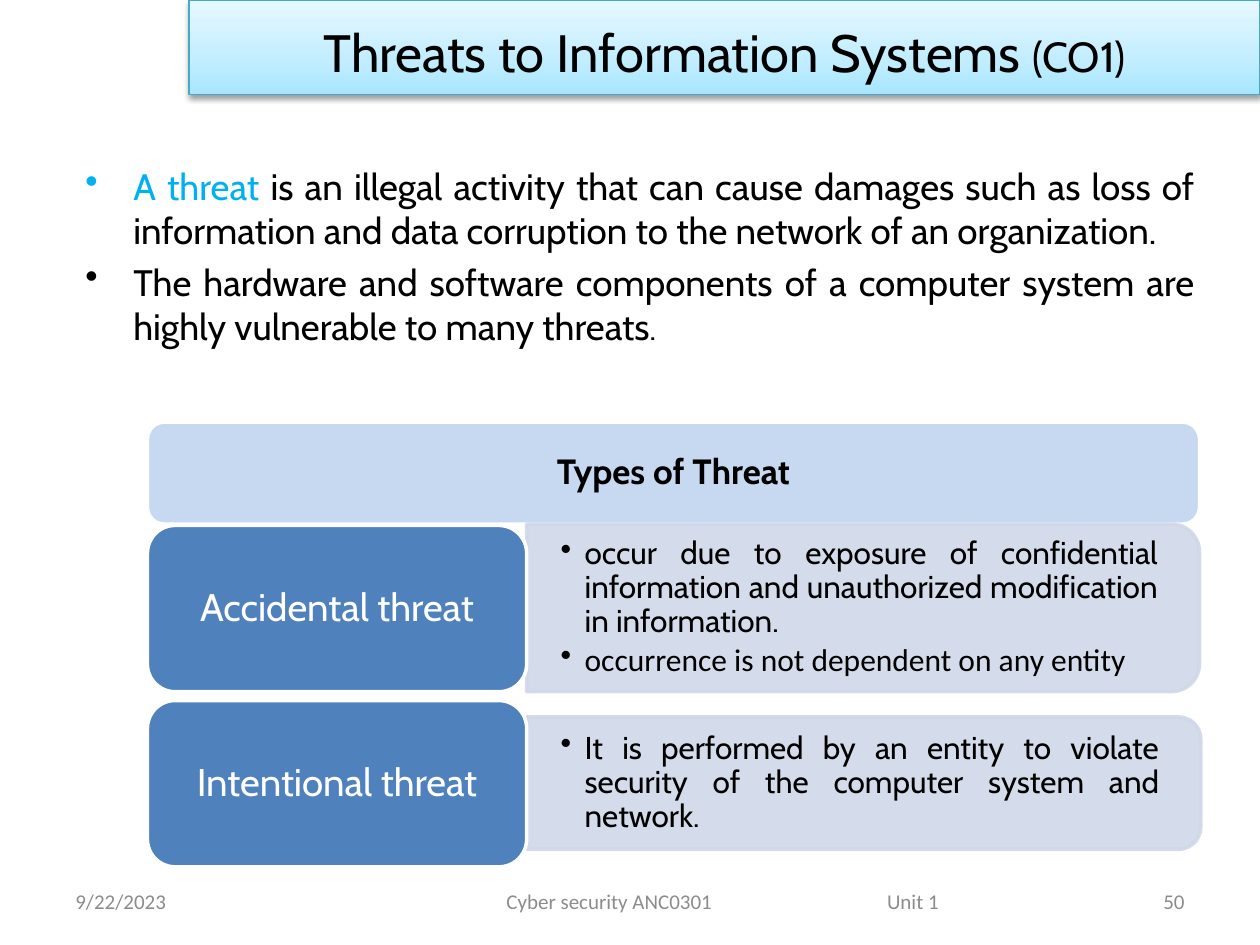
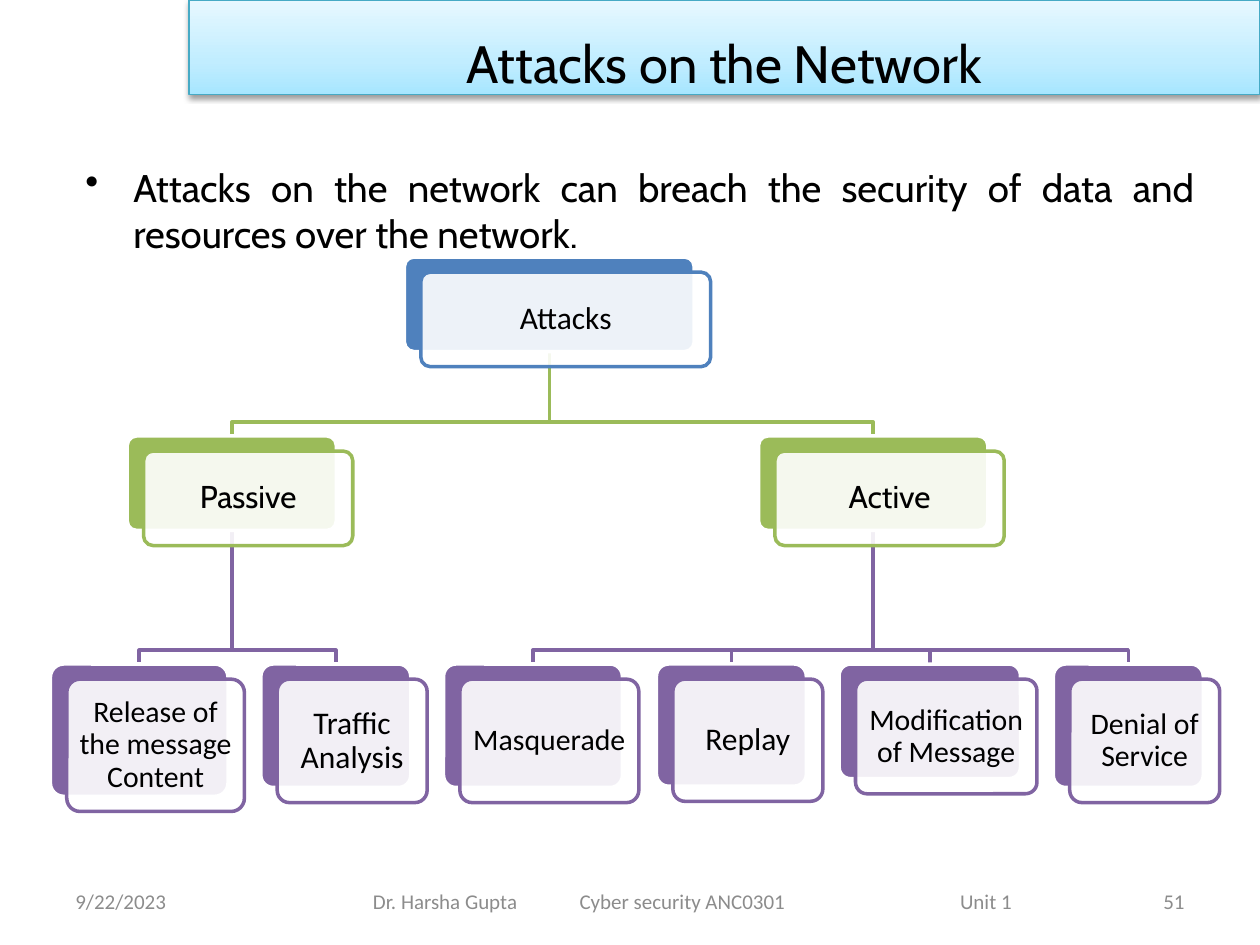
from dataclasses import dataclass

from lxml import etree
from pptx import Presentation
from pptx.dml.color import RGBColor
from pptx.enum.shapes import MSO_SHAPE
from pptx.enum.text import MSO_ANCHOR, PP_ALIGN
from pptx.oxml.ns import qn
from pptx.util import Inches, Pt

RECT = MSO_SHAPE.RECTANGLE
ROUND = MSO_SHAPE.ROUNDED_RECTANGLE
ROUND_TOP = MSO_SHAPE.ROUND_2_SAME_RECTANGLE
TOP, MIDDLE = MSO_ANCHOR.TOP, MSO_ANCHOR.MIDDLE
LEFT, CENTER, RIGHT, JUSTIFY = (PP_ALIGN.LEFT, PP_ALIGN.CENTER,
                                PP_ALIGN.RIGHT, PP_ALIGN.JUSTIFY)


@dataclass(frozen=True)
class Theme:
    head_font: str = "Cabin"
    body_font: str = "Calibri"
    black: str = "000000"
    white: str = "FFFFFF"
    grey: str = "8C8C8C"
    cyan: str = "00B0F0"
    blue: str = "4F81BD"
    green: str = "9BBB59"
    purple: str = "8064A2"
    pale_blue: str = "C6D9F1"
    panel: str = "D0D8E8"
    band_line: str = "46AAC5"
    band_stops: tuple = ((0, "A7E6FF"), (35, "C1EDFF"), (100, "E7F8FF"))
    title: int = 30
    title_note: int = 24
    lead: int = 22
    body: int = 21
    heading: int = 20
    detail: int = 18
    small: int = 17
    footer: int = 12


THEME = Theme()


def add_color(parent, color, alpha=100):
    clr = etree.SubElement(parent, qn("a:srgbClr"), val=color)
    if alpha < 100:
        etree.SubElement(clr, qn("a:alpha"), val=str(alpha * 1000))


def set_solid(fill, color, alpha):
    fill.solid()
    fill.fore_color.rgb = RGBColor.from_string(color)
    if alpha < 100:
        solid = fill._xPr.find(qn("a:solidFill"))
        solid.remove(solid[0])
        add_color(solid, color, alpha)


class Deck:
    """Holds the theme, the presentation and the slide being built."""

    def __init__(self, theme):
        self.theme = theme
        self.prs = Presentation()
        self.prs.slide_width, self.prs.slide_height = Inches(10), Inches(7.5)
        self.s = None

    def new_slide(self, title, number, author=None, title_spacing=1.5):
        self.s = self.prs.slides.add_slide(self.prs.slide_layouts[6])
        self.title_band(title, title_spacing)
        self.footer(number, author)

    def style(self, sp, fill, line, width=2, alpha=100, line_alpha=100):
        """Set fill and outline; a fill of None leaves the shape open."""
        sp.shadow.inherit = False
        if fill:
            set_solid(sp.fill, fill, alpha)
        else:
            sp.fill.background()
        sp.line.width = Pt(width)
        set_solid(sp.line.fill, line, line_alpha)

    def shape(self, kind, box, **look):
        sp = self.s.shapes.add_shape(kind, *map(Inches, box))
        self.style(sp, **look)
        return sp

    def frame(self, sp, anchor=MIDDLE, insets=(0.1, 0.05, 0.1, 0.05)):
        tf = sp.text_frame
        tf.word_wrap, tf.vertical_anchor = True, anchor
        for side, inset in zip(("left", "top", "right", "bottom"), insets):
            setattr(tf, f"margin_{side}", Inches(inset))
        return tf

    def text_box(self, box, **layout):
        return self.frame(self.s.shapes.add_textbox(*map(Inches, box)), **layout)

    def put_text(self, tf, paragraphs, indent=0, tabs=(), fmt=None, **font):
        """Fill a frame; each paragraph is a list of (text, font changes)."""
        for i, runs in enumerate(paragraphs):
            p = tf.add_paragraph() if i else tf.paragraphs[0]
            pPr = p._p.get_or_add_pPr()
            if indent:
                pPr.set("marL", str(Inches(indent)))
                pPr.set("indent", str(-Inches(indent)))
                etree.SubElement(pPr, qn("a:buChar"), char="•")
            if tabs:
                tab_list = etree.SubElement(pPr, qn("a:tabLst"))
                for pos in tabs:
                    etree.SubElement(tab_list, qn("a:tab"),
                                     pos=str(Inches(pos)), algn="l")
            for name, value in (fmt or {}).items():
                if i or name != "space_before":
                    setattr(p, name, value)
            for text, changes in runs:
                self.put_run(p, text, **{**font, **changes})

    def put_run(self, p, text, size, color=THEME.black, name=THEME.head_font,
                bold=False):
        r = p.add_run()
        r.text = text
        for key, value in dict(size=Pt(size), name=name, bold=bold).items():
            setattr(r.font, key, value)
        r.font.color.rgb = RGBColor.from_string(color)

    def title_band(self, runs, spacing):
        t = self.theme
        sp = self.shape(RECT, (1.5, 0, 8.5, 0.75), fill=None,
                        line=t.band_line, width=0.75)
        sp.fill.gradient()
        sp.fill.gradient_angle = 90
        spPr = sp._element.spPr
        stops = spPr.find(".//" + qn("a:gsLst"))
        for stop in list(stops):
            stops.remove(stop)
        for pos, color in t.band_stops:
            add_color(etree.SubElement(stops, qn("a:gs"), pos=str(pos * 1000)),
                      color)
        shadow = etree.SubElement(
            spPr.find(qn("a:effectLst")), qn("a:outerShdw"), blurRad="40000",
            dist="20000", dir="5400000", rotWithShape="0")
        add_color(shadow, t.black, 38)
        self.put_text(self.frame(sp), [runs], size=t.title,
                      fmt=dict(alignment=CENTER, line_spacing=spacing))

    def footer(self, number, author):
        t = self.theme
        font = dict(size=t.footer, color=t.grey, name=t.body_font)
        for left, text, align in ((0.5, "9/22/2023", LEFT),
                                  (7.17, number, RIGHT)):
            self.put_text(self.text_box((left, 6.95, 2.33, 0.4)),
                          [[(text, {})]], fmt=dict(alignment=align), **font)
        author_width, course_width = 1.64, 3.02
        parts = ["Cyber security ANC0301", "Unit 1"]
        tabs, inset = [course_width], 1.27
        if author:
            parts.insert(0, author)
            tabs = [author_width, author_width + course_width]
            inset = 0.21
        tf = self.text_box((2.75, 6.95, 5.5, 0.4),
                           insets=(inset, 0.05, 0.1, 0.05))
        self.put_text(tf, [[("\t".join(parts), {})]], tabs=tabs, **font)

    def body(self, paragraphs, size):
        self.put_text(self.text_box((0.58, 1.25, 9, 5.31), anchor=TOP),
                      paragraphs, indent=0.38, size=size,
                      fmt=dict(alignment=JUSTIFY, space_before=Pt(0.2 * size)))

    def label(self, sp, text, inset=0.07, **font):
        self.put_text(self.frame(sp, insets=(inset,) * 4), [[(text, {})]],
                      fmt=dict(alignment=CENTER, line_spacing=0.9), **font)

    def threat_row(self, top, name, panel, details):
        """A threat card with its details in a panel rounded on the right."""
        t = self.theme
        left, panel_top, width, height = panel
        middle_x, middle_y = left + width / 2, panel_top + height / 2
        sp = self.shape(
            ROUND_TOP,
            (middle_x - height / 2, middle_y - width / 2, height, width),
            fill=t.panel, line=t.panel, alpha=90, line_alpha=90)
        sp.rotation = 90
        tf = self.text_box((left, panel_top + 0.06, width - 0.06, height - 0.12),
                           insets=(0.27, 0.14, 0.27, 0.14))
        self.put_text(tf, details, indent=0.19, size=t.detail,
                      fmt=dict(alignment=JUSTIFY, line_spacing=0.9,
                               space_after=Pt(0.15 * t.detail)))
        card = self.shape(ROUND, (1.17, top, 3.01, 1.32),
                          fill=t.blue, line=t.white)
        self.label(card, name, size=t.lead, color=t.white)

    def node(self, box, text, color, **font):
        """A coloured card with a translucent labelled card shifted over it."""
        left, top, width, height = box
        back = self.shape(ROUND, box, fill=color, line=self.theme.white)
        front = self.shape(ROUND, (left + 0.13, top + 0.12, width, height),
                           fill=self.theme.white, line=color, alpha=90)
        for sp in (back, front):
            sp.adjustments[0] = 0.1
        self.label(front, text, **font)

    def branch(self, parent, child, color):
        """Line from the bottom of the parent box to the top of the child."""
        x1, y1 = parent[0] + parent[2] / 2, parent[1] + parent[3]
        x2, y2 = child[0] + child[2] / 2, child[1]
        turn = y2 - 0.11
        fb = self.s.shapes.build_freeform(Inches(x1), Inches(y1))
        fb.add_line_segments([(Inches(x), Inches(y)) for x, y in
                              ((x1, turn), (x2, turn), (x2, y2))], close=False)
        self.style(fb.convert_to_shape(), fill=None, line=color)


def threats_slide(deck):
    t = deck.theme
    deck.new_slide([("Threats to Information Systems ", {}),
                    ("(CO1)", dict(size=t.title_note))], "50",
                   title_spacing=1.15)
    deck.body([
        [("A threat ", dict(color=t.cyan)),
         ("is an illegal activity that can cause damages such as loss of "
          "information and data corruption to the network of an organization.", {})],
        [("The hardware and software components of a computer system are "
          "highly vulnerable to many threats", {}),
         (".", dict(size=t.detail))],
    ], t.body)
    header = deck.shape(ROUND, (1.17, 3.35, 8.35, 0.81),
                        fill=t.pale_blue, line=t.white)
    deck.label(header, "Types of Threat", size=t.heading, bold=True)
    deck.threat_row(4.17, "Accidental threat", (4.18, 4.16, 5.34, 1.33), [
        [("occur due to exposure of confidential information and unauthorized "
          "modification in information.", {})],
        [("occurrence is not dependent on any entity", dict(name=t.body_font))]])
    deck.threat_row(5.56, "Intentional threat", (4.18, 5.69, 5.35, 1.05), [
        [("It is performed by an entity to violate security of the computer "
          "system and network.", {})]])


def attacks_slide(deck):
    t = deck.theme
    deck.new_slide([("Attacks on the Network", {})], "51", "Dr. Harsha Gupta")
    deck.body([[("Attacks on the network can breach the security of data and "
                 "resources over the network.", {})]], t.lead)

    level_height, leaf_top = 0.75, 5.27
    root = (3.21, 2.04, 2.3, level_height)
    # Each kind: name, left, width, then leaves as (text, left, width, height, size)
    kinds = [
        ("Passive", 1.01, 1.66, [
            ("Release of the message Content", 0.4, 1.41, 1.05, t.small),
            ("Traffic Analysis", 2.07, 1.19, 0.98, t.detail)]),
        ("Active", 6.02, 1.82, [
            ("Masquerade", 3.52, 1.42, 0.98, t.small),
            ("Replay", 5.21, 1.19, 0.97, t.detail),
            ("Modification of Message", 6.66, 1.44, 0.91, t.small),
            ("Denial of Service", 8.36, 1.19, 0.98, t.small)]),
    ]
    nodes = [(root, "Attacks", t.blue, dict(size=t.detail, name=t.body_font))]
    for kind, left, width, leaves in kinds:
        kind_box = (left, 3.46, width, level_height)
        deck.branch(root, kind_box, t.green)
        nodes.append((kind_box, kind, t.green, dict(size=t.detail)))
        for text, leaf_left, leaf_width, height, size in leaves:
            leaf_box = (leaf_left, leaf_top, leaf_width, height)
            deck.branch(kind_box, leaf_box, t.purple)
            nodes.append((leaf_box, text, t.purple,
                          dict(size=size, name=t.body_font)))
    for box, text, color, font in nodes:
        deck.node(box, text, color, **font)


def main():
    deck = Deck(THEME)
    threats_slide(deck)
    attacks_slide(deck)
    deck.prs.save("out.pptx")


if __name__ == "__main__":
    main()
